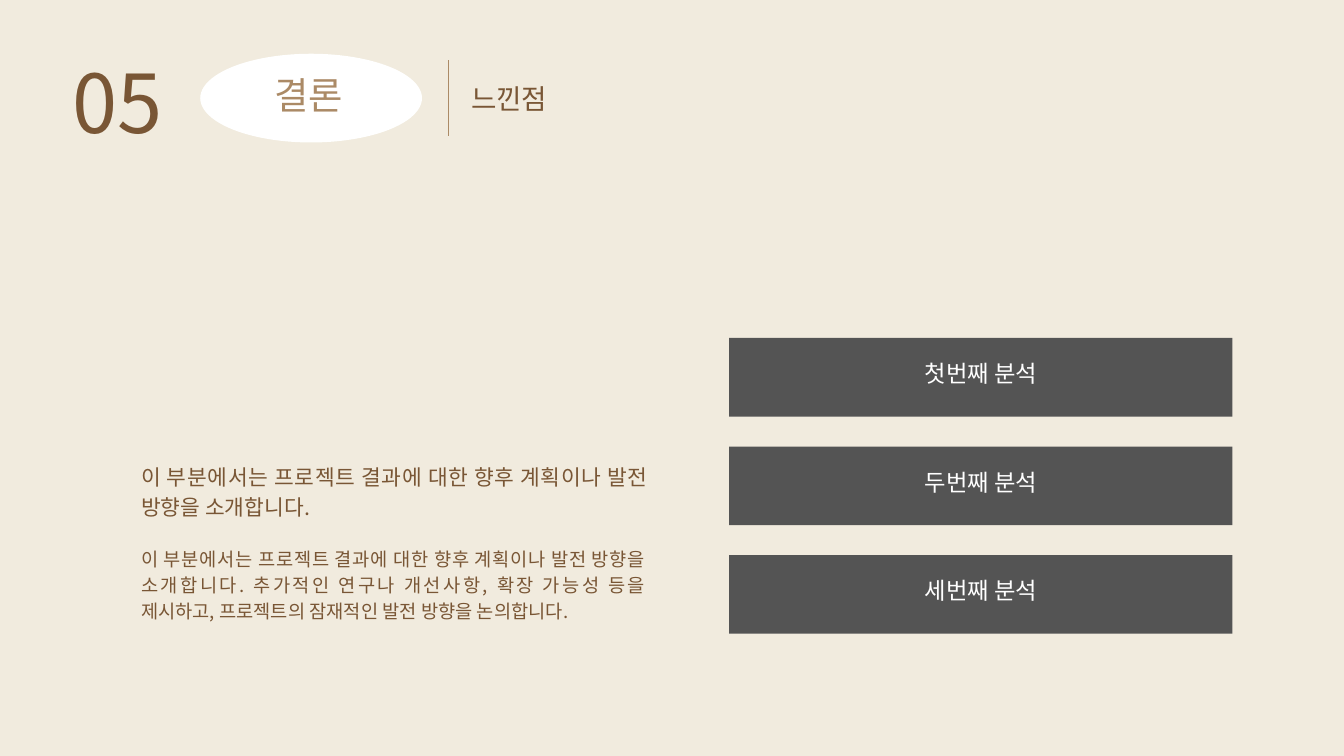
from pptx import Presentation
from pptx.dml.color import RGBColor
from pptx.enum.shapes import MSO_CONNECTOR, MSO_SHAPE
from pptx.enum.text import MSO_ANCHOR, PP_ALIGN
from pptx.oxml.ns import qn
from pptx.util import Inches, Pt
from lxml import etree

LEFT, CENTER, JUSTIFY = PP_ALIGN.LEFT, PP_ALIGN.CENTER, PP_ALIGN.JUSTIFY
MIDDLE = MSO_ANCHOR.MIDDLE
RECTANGLE, OVAL = MSO_SHAPE.RECTANGLE, MSO_SHAPE.OVAL

CREAM = RGBColor(0xF1, 0xEB, 0xDE)
BROWN = RGBColor(0x79, 0x56, 0x35)
TAN = RGBColor(0xAB, 0x8A, 0x66)
GRAY = RGBColor(0x54, 0x54, 0x54)
WHITE = RGBColor(0xFF, 0xFF, 0xFF)
BODY_FONT = "Noto Sans CJK KR"
LABEL_FONT = "Calibri"

# Content: text, (left, top, width, height), size, line spacing, alignment, colour
TEXTS = [
    ("05", (1.08, 0.54, 1.51, 1.58), 87, 121.9, LEFT, BROWN),
    ("결론", (3.68, 1.2, 1.83, 0.55), 40, 39.3, CENTER, TAN),
    ("느낀점", (7.01, 1.14, 3.97, 0.54), 29.6, 41.5, LEFT, BROWN),
    ("이 부분에서는 프로젝트 결과에 대한 향후 계획이나 발전 방향을 소개합니다.",
     (2.1, 6.84, 7.55, 0.89), 23, 32.3, JUSTIFY, BROWN),
    ("이 부분에서는 프로젝트 결과에 대한 향후 계획이나 발전 방향을 소개합니다. "
     "추가적인 연구나 개선사항, 확장 가능성 등을 제시하고, "
     "프로젝트의 잠재적인 발전 방향을 논의합니다.",
     (2.1, 8.1, 7.5, 1.16), 20, 28, JUSTIFY, BROWN),
]
ANALYSES = ["첫번째 분석", "두번째 분석", "세번째 분석"]

# Layout
BADGE_BOX = (2.98, 0.8, 3.3, 1.32)
DIVIDER_X, DIVIDER_TOP, DIVIDER_BOTTOM = 6.67, 0.9, 2.02
BAR_LEFT, BAR_TOP, BAR_WIDTH, BAR_HEIGHT = 10.85, 5.03, 7.49, 1.17
BAR_PITCH = 1.615
BAR_MARGINS = (0.06, 0.06, 0.06, 0.25)  # label sits slightly above the middle


def write(frame, text, size, spacing, align, color, font, margins=(0, 0, 0, 0)):
    frame.word_wrap = True
    (frame.margin_left, frame.margin_top,
     frame.margin_right, frame.margin_bottom) = map(Inches, margins)
    paragraph = frame.paragraphs[0]
    paragraph.alignment = align
    paragraph.line_spacing = Pt(spacing)
    run = paragraph.add_run()
    run.text = text
    run.font.size = Pt(size)
    run.font.name = font
    run.font.color.rgb = color


def add_filled(slide, kind, box, color):
    shape = slide.shapes.add_shape(kind, *map(Inches, box))
    shape.shadow.inherit = False
    shape.fill.solid()
    shape.fill.fore_color.rgb = color
    shape.line.fill.background()
    return shape


prs = Presentation()
prs.slide_width, prs.slide_height = Inches(20), Inches(11.25)
slide = prs.slides.add_slide(prs.slide_layouts[6])
slide.background.fill.solid()
slide.background.fill.fore_color.rgb = CREAM

# Analysis bars
for i, label in enumerate(ANALYSES):
    bar = add_filled(slide, RECTANGLE,
                     (BAR_LEFT, BAR_TOP + i * BAR_PITCH, BAR_WIDTH, BAR_HEIGHT), GRAY)
    bar.text_frame.vertical_anchor = MIDDLE
    write(bar.text_frame, label, 25, 35, CENTER, WHITE, LABEL_FONT, BAR_MARGINS)

# Header badge and divider
add_filled(slide, OVAL, BADGE_BOX, WHITE)
divider = slide.shapes.add_connector(
    MSO_CONNECTOR.STRAIGHT, Inches(DIVIDER_X), Inches(DIVIDER_BOTTOM),
    Inches(DIVIDER_X), Inches(DIVIDER_TOP))
divider.line.color.rgb = TAN
divider.line.width = Pt(1.5)
etree.SubElement(divider._element.spPr, qn("a:effectLst"))

# Header and body text
for text, box, size, spacing, align, color in TEXTS:
    textbox = slide.shapes.add_textbox(*map(Inches, box))
    write(textbox.text_frame, text, size, spacing, align, color, BODY_FONT)

prs.save("out.pptx")
